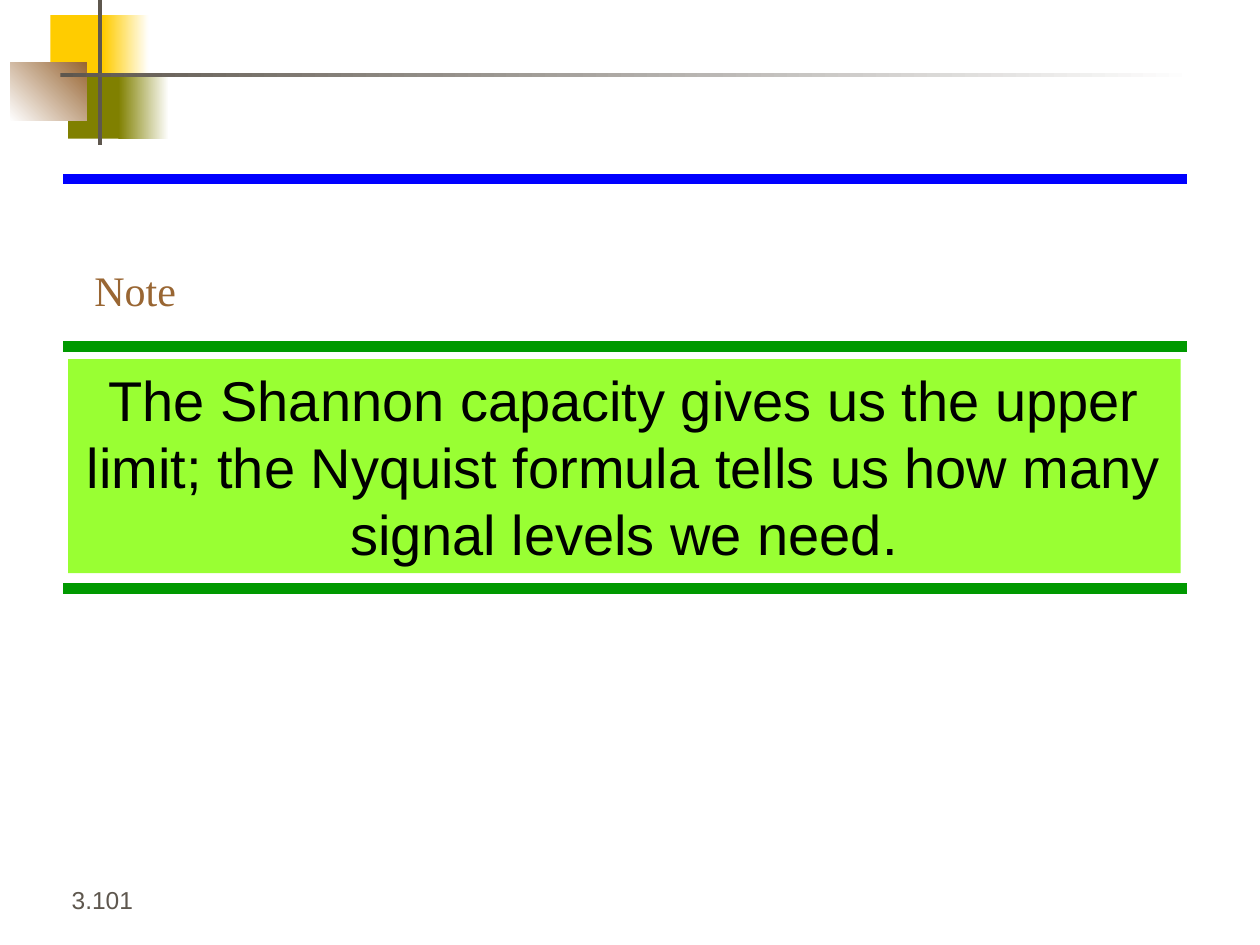
from typing import NamedTuple, Optional

import pptx
import pptx.dml.color
import pptx.enum.shapes
import pptx.enum.text
import pptx.oxml.ns
import pptx.util
from lxml import etree
from pptx.dml.color import RGBColor
from pptx.util import Inches

WHITE = RGBColor(0xFF, 0xFF, 0xFF)
BLACK = RGBColor(0x00, 0x00, 0x00)
GOLD = RGBColor(0xFF, 0xCC, 0x00)
OLIVE = RGBColor(0x80, 0x80, 0x00)
BROWN = RGBColor(0x99, 0x66, 0x33)
GRAY = RGBColor(0x5E, 0x57, 0x4E)
BLUE = RGBColor(0x00, 0x00, 0xFF)
GREEN = RGBColor(0x00, 0x99, 0x00)
LIME = RGBColor(0x99, 0xFF, 0x33)

RULE_LEFT, RULE_RIGHT = 0.5, 9.42


class Block(NamedTuple):
    left: float
    top: float
    width: float
    height: float
    color: RGBColor
    fade_to: Optional[RGBColor] = None
    angle: float = 0


class Rule(NamedTuple):
    y: float
    color: RGBColor


CORNER_ORNAMENT = [
    Block(0.4, 0.12, 0.48, 0.52, GOLD),
    Block(0.82, 0.12, 0.36, 0.52, GOLD, WHITE),
    Block(0.54, 0.58, 0.46, 0.52, OLIVE),
    Block(0.94, 0.58, 0.4, 0.52, OLIVE, WHITE),
    Block(0.08, 0.5, 0.61, 0.46, WHITE, BROWN, 45),
    Block(0.78, 0, 0.03, 1.15, GRAY),
    Block(0.48, 0.58, 9, 0.03, GRAY, WHITE),
]
HEADER_RULE = Rule(1.42, BLUE)
NOTE_RULES = [Rule(2.75, GREEN), Rule(4.67, GREEN)]
STATEMENT = Block(0.54, 2.85, 8.83, 1.7, LIME)


def draw_block(slide: pptx.slide.Slide, block: Block):
    shape = slide.shapes.add_shape(
        pptx.enum.shapes.MSO_SHAPE.RECTANGLE,
        Inches(block.left), Inches(block.top), Inches(block.width), Inches(block.height))
    shape.shadow.inherit = False
    shape.line.fill.background()
    if block.fade_to is None:
        shape.fill.solid()
        shape.fill.fore_color.rgb = block.color
    else:
        shape.fill.gradient()
        shape.fill.gradient_angle = block.angle
        for stop, color in zip(shape.fill.gradient_stops, (block.color, block.fade_to)):
            stop.color.rgb = color
    return shape


def draw_rule(slide: pptx.slide.Slide, rule: Rule) -> None:
    line = slide.shapes.add_connector(
        pptx.enum.shapes.MSO_CONNECTOR.STRAIGHT,
        Inches(RULE_LEFT), Inches(rule.y), Inches(RULE_RIGHT), Inches(rule.y))
    line.line.color.rgb = rule.color
    line.line.width = pptx.util.Pt(6)
    etree.SubElement(line._element.spPr, pptx.oxml.ns.qn("a:effectLst"))


def write(shape, text: str, *, size: float, color: RGBColor, font: str = "Arial",
          align=pptx.enum.text.PP_ALIGN.LEFT, anchor=pptx.enum.text.MSO_ANCHOR.TOP,
          wrap: bool = True) -> None:
    frame = shape.text_frame
    frame.word_wrap = wrap
    frame.vertical_anchor = anchor
    paragraph = frame.paragraphs[0]
    paragraph.alignment = align
    run = paragraph.add_run()
    run.text = text
    run.font.size = pptx.util.Pt(size)
    run.font.name = font
    run.font.color.rgb = color


def main() -> None:
    deck = pptx.Presentation()
    deck.slide_width, deck.slide_height = Inches(10), Inches(7.5)
    slide = deck.slides.add_slide(deck.slide_layouts[6])

    draw_rule(slide, HEADER_RULE)
    page_number = slide.shapes.add_textbox(Inches(0.47), Inches(6.81), Inches(2.08), Inches(0.5))
    write(page_number, "3.101", size=14, color=GRAY,
          anchor=pptx.enum.text.MSO_ANCHOR.BOTTOM)

    for block in CORNER_ORNAMENT:
        draw_block(slide, block)
    for rule in NOTE_RULES:
        draw_rule(slide, rule)

    statement = draw_block(slide, STATEMENT)
    write(statement,
          "The Shannon capacity gives us the upper limit; the Nyquist formula "
          "tells us how many signal levels we need.",
          size=32, color=BLACK, align=pptx.enum.text.PP_ALIGN.CENTER)

    note_label = slide.shapes.add_textbox(Inches(0.65), Inches(2.05), Inches(0.96), Inches(0.57))
    write(note_label, "Note", size=24, color=BROWN, font="Times New Roman", wrap=False)

    deck.save("out.pptx")


if __name__ == "__main__":
    main()
